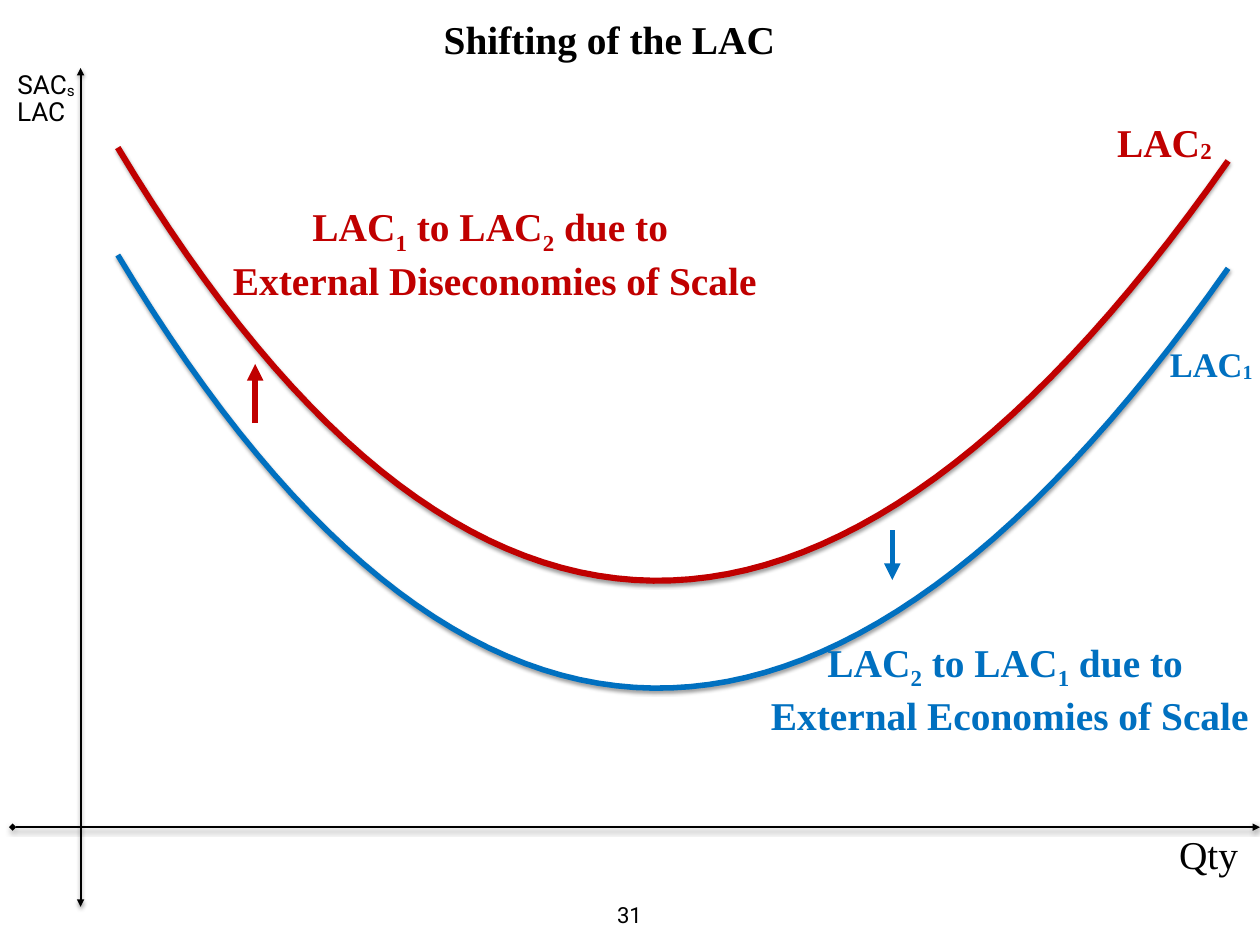
from dataclasses import dataclass

from lxml import etree
from pptx import Presentation
from pptx.dml.color import RGBColor
from pptx.enum.shapes import MSO_CONNECTOR
from pptx.enum.text import MSO_ANCHOR, MSO_AUTO_SIZE, PP_ALIGN
from pptx.oxml.ns import qn
from pptx.util import Inches, Pt

STRAIGHT = MSO_CONNECTOR.STRAIGHT
CENTER = PP_ALIGN.CENTER
MIDDLE = MSO_ANCHOR.MIDDLE
GROW = MSO_AUTO_SIZE.SHAPE_TO_FIT_TEXT

WIDTH, HEIGHT = 14.22, 10.67
COLUMNS = 100
CELL = WIDTH / COLUMNS  # square grid cells: 100 columns by 75 rows
CURVE_STEPS = 60


@dataclass(frozen=True)
class Theme:
    black: str = "000000"
    blue: str = "0070C0"
    red: str = "C00000"
    serif: str = "Times New Roman"
    sans: str = "Roboto"
    large: float = 32
    medium: float = 28
    axis_label: float = 21.3
    page: float = 18
    axis_line: float = 1.5
    bold_line: float = 4.5
    top_curve_line: float = 5
    margin: float = 0.07
    slight_drop: int = -6000
    full_drop: int = -25000


THEME = Theme()


def cells(*counts):
    return [Inches(count * CELL) for count in counts]


def style_line(shape, color, width, head=None, tail=None, shadow=False):
    shape.line.color.rgb = RGBColor.from_string(color)
    shape.line.width = Pt(width)
    properties = shape.element.spPr
    outline = properties.find(qn("a:ln"))
    for tag, end in (("a:headEnd", head), ("a:tailEnd", tail)):
        if end:
            etree.SubElement(outline, qn(tag), type=end)
    effects = etree.SubElement(properties, qn("a:effectLst"))
    if shadow:
        outer = etree.SubElement(effects, qn("a:outerShdw"), blurRad=str(Pt(3)),
                                 dist=str(Pt(1.6)), dir="5400000", rotWithShape="0")
        tint = etree.SubElement(outer, qn("a:srgbClr"), val=THEME.black)
        etree.SubElement(tint, qn("a:alpha"), val="38000")


def add_arrow(slide, start, end, color, width, **ends):
    arrow = slide.shapes.add_connector(STRAIGHT, *cells(*start, *end))
    style_line(arrow, color, width, **ends)


def bezier_point(controls, t):
    weights = ((1 - t) ** 3, 3 * t * (1 - t) ** 2, 3 * t ** 2 * (1 - t), t ** 3)
    return [sum(w * point[axis] for w, point in zip(weights, controls)) for axis in (0, 1)]


def add_cost_curve(slide, color, width, rise=0):
    """Draw the U-shaped average cost curve, moved up by rise rows."""
    controls = [(column, row - rise) for column, row in
                ((97.47, 21.31), (66.03, 66.1), (36.64, 65.75), (9.35, 20.25))]
    points = [cells(*bezier_point(controls, step / CURVE_STEPS))
              for step in range(CURVE_STEPS + 1)]
    builder = slide.shapes.build_freeform(*points[0], scale=1.0)
    builder.add_line_segments(points[1:], close=False)
    curve = builder.convert_to_shape()
    curve.fill.background()
    style_line(curve, color, width, shadow=True)


def write_text(shape, lines, color=THEME.black, font=THEME.serif, size=THEME.large,
               bold=False, wrap=False, drop=THEME.slight_drop):
    """Fill a shape; in each line every second piece is a subscript."""
    frame = shape.text_frame
    margins = dict.fromkeys(("margin_left", "margin_top", "margin_right", "margin_bottom"),
                            Inches(THEME.margin))
    frame_format = {**margins, "word_wrap": wrap, "auto_size": GROW,
                    "vertical_anchor": MIDDLE}
    for name, value in frame_format.items():
        setattr(frame, name, value)
    font_format = {"name": font, "size": Pt(size), "bold": bold}
    for index, pieces in enumerate(lines):
        paragraph = frame.add_paragraph() if index else frame.paragraphs[0]
        paragraph.alignment = CENTER
        for position, piece in enumerate(pieces):
            run = paragraph.add_run()
            run.text = piece
            for name, value in font_format.items():
                setattr(run.font, name, value)
            run.font.color.rgb = RGBColor.from_string(color)
            if position % 2:
                run._r.get_or_add_rPr().set("baseline", str(drop))


def add_label(slide, box, *lines, **text_format):
    write_text(slide.shapes.add_textbox(*cells(*box)), lines, **text_format)


def add_title(slide, box, text):
    title = slide.shapes.title
    title.left, title.top, title.width, title.height = cells(*box)
    write_text(title, [[text]], bold=True, wrap=True)


def add_axes(slide):
    axis = {"color": THEME.black, "width": THEME.axis_line, "tail": "triangle",
            "shadow": True}
    add_arrow(slide, (6.4, 72), (6.4, 5.4), head="triangle", **axis)
    add_arrow(slide, (1, 65.68), (COLUMNS, 65.68), head="diamond", **axis)
    add_label(slide, (92.97, 65.4, 5.9, 4.78), ["Qty"])
    cost = {"font": THEME.sans, "size": THEME.axis_label}
    add_label(slide, (0.7, 7.03, 5.13, 3.52), ["LAC"], **cost)
    add_label(slide, (0.7, 4.92, 5.9, 3.52), ["SAC", "s"], **cost)


def add_shift(slide, box, before, after, cause, color, column, rows):
    """Explain one shift of the curve and point an arrow along it."""
    add_label(slide, box, ["LAC", before, " to LAC", after, " due to "], [cause],
              color=color, bold=True, wrap=True, drop=THEME.full_drop)
    start, end = rows
    add_arrow(slide, (column, start), (column, end), color, THEME.bold_line,
              tail="triangle")


def main():
    presentation = Presentation()
    presentation.slide_width = Inches(WIDTH)
    presentation.slide_height = Inches(HEIGHT)
    slide = presentation.slides.add_slide(presentation.slide_layouts[5])

    add_title(slide, (16.88, 0.7, 63, 4.78), "Shifting of the LAC")
    add_axes(slide)
    add_cost_curve(slide, THEME.blue, THEME.bold_line)
    add_label(slide, (92.26, 26.72, 7.74, 4.29), ["LAC", "1"],
              color=THEME.blue, size=THEME.medium, bold=True)
    add_cost_curve(slide, THEME.red, THEME.top_curve_line, rise=8.53)
    add_label(slide, (88.05, 8.86, 8.72, 4.78), ["LAC", "2"],
              color=THEME.red, bold=True)
    add_shift(slide, (15.6, 15.75, 47.4, 8.58), "1", "2",
              "External Diseconomies of Scale", THEME.red, 20.25, (33.6, 28.9))
    add_shift(slide, (60.34, 50.35, 39.66, 8.58), "2", "1",
              "External Economies of Scale", THEME.blue, 70.82, (42.12, 46.06))
    add_label(slide, (48.38, 71.17, 3.16, 2.95), ["31"],
              font=THEME.sans, size=THEME.page)

    presentation.save("out.pptx")


if __name__ == "__main__":
    main()
